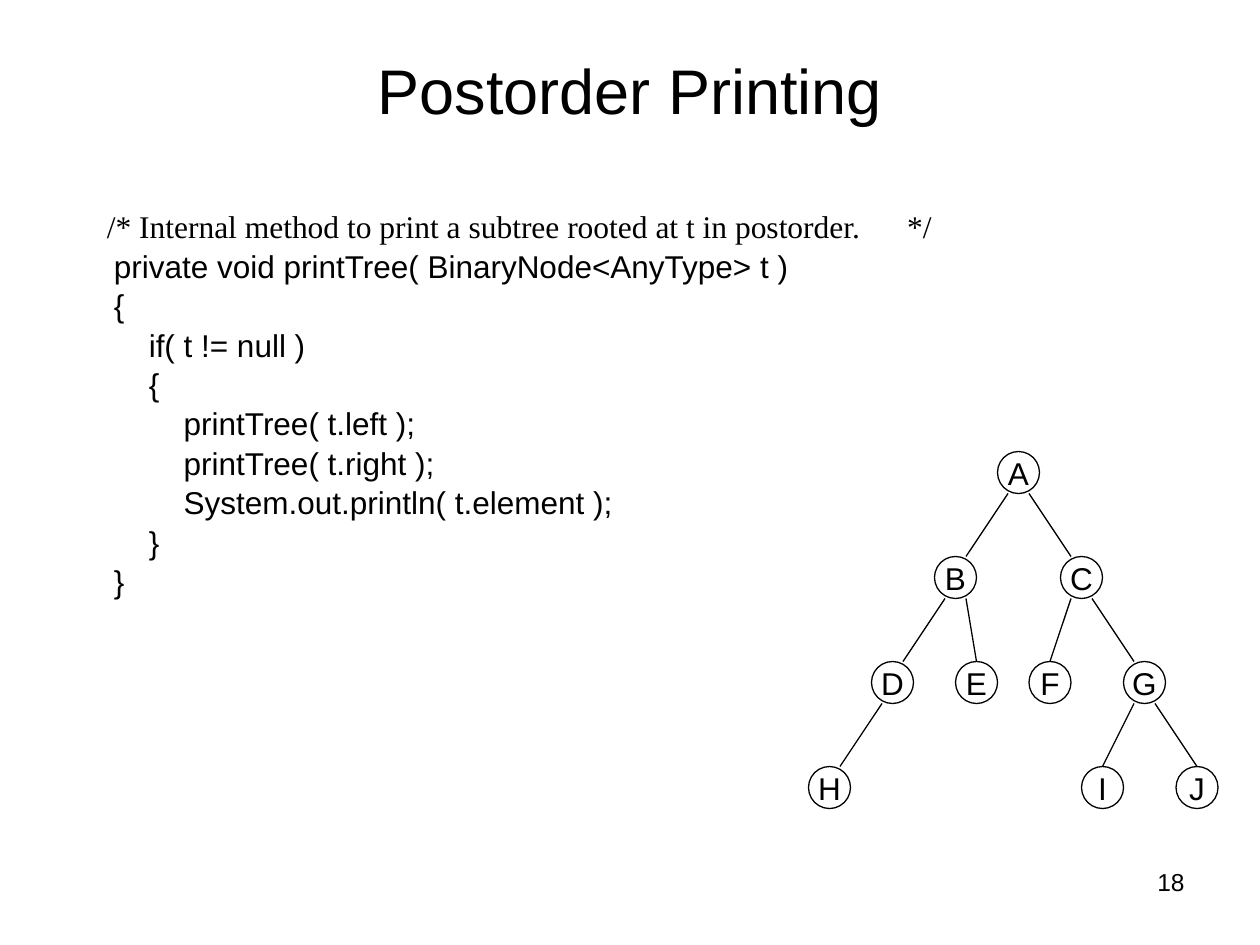
from pptx import Presentation
from pptx.dml.color import RGBColor
from pptx.enum.shapes import MSO_CONNECTOR, MSO_SHAPE
from pptx.enum.text import MSO_ANCHOR as Anchor, MSO_AUTO_SIZE as AutoSize, PP_ALIGN as Align
from pptx.util import Pt
from lxml import etree

COLORS = {"ink": "000000"}
INK = RGBColor.from_string(COLORS["ink"])
CODE = """\
        /* Internal method to print a subtree rooted at t in postorder.      */
        private void printTree( BinaryNode<AnyType> t )
        {
            if( t != null )
            {
                printTree( t.left );
                printTree( t.right );
                System.out.println( t.element );
            }
        }"""


def style(para, size, align=Align.LEFT, name="Arial"):
    para.alignment = align
    para.font.name = name
    para.font.size = Pt(size)
    para.font.color.rgb = INK


deck = Presentation()
deck.slide_width, deck.slide_height = Pt(720), Pt(540)
page = deck.slides.add_slide(deck.slide_layouts[5])

title = page.shapes.title
title.left, title.top, title.width, title.height = Pt(54), Pt(18), Pt(612), Pt(66)
title.text_frame.text = "Postorder Printing"
title.text_frame.vertical_anchor = Anchor.MIDDLE
title.text_frame.auto_size = AutoSize.NONE
style(title.text_frame.paragraphs[0], 36, Align.CENTER)

number = page.shapes.add_textbox(Pt(516), Pt(492), Pt(168), Pt(37.5))
number.text_frame.word_wrap = True
number.text_frame.text = "18"
style(number.text_frame.paragraphs[0], 14, Align.RIGHT)

code = page.shapes.add_textbox(Pt(18), Pt(115), Pt(636), Pt(223))
code.text_frame.word_wrap = True
code.text_frame.text = CODE
for index, para in enumerate(code.text_frame.paragraphs):
    style(para, 18, name="Arial" if index else "Times New Roman")
    if index:
        para.space_before = Pt(0.9)

NODE = 24
LEVELS = [
    {"A": 570},
    {"B": 534, "C": 606},
    {"D": 498, "E": 546, "F": 588, "G": 642},
    {"H": 462, "I": 618, "J": 672},
]
tree = page.shapes.add_group_shape()
places = {}
for depth, level in enumerate(LEVELS):
    for label, left in level.items():
        top = 258 + 60 * depth
        places[label] = left, top
        node = tree.shapes.add_shape(MSO_SHAPE.OVAL, Pt(left), Pt(top), Pt(NODE), Pt(NODE))
        node.shadow.inherit = False
        node.fill.background()
        node.line.color.rgb = INK
        node.line.width = Pt(0.75)
        frame = node.text_frame
        frame.word_wrap = False
        frame.vertical_anchor = Anchor.MIDDLE
        frame.text = label
        style(frame.paragraphs[0], 18, Align.CENTER)

EDGES = [
    ("A", 6, "B", 18), ("B", 6, "D", 18), ("D", 6, "H", 18),
    ("A", 18, "C", 6), ("C", 18, "G", 6), ("G", 18, "J", 12),
    ("B", 18, "E", 12), ("C", 6, "F", 12), ("G", 6, "I", 12),
]
for parent, start, child, end in EDGES:
    left, top = places[parent]
    child_left, child_top = places[child]
    edge = tree.shapes.add_connector(
        MSO_CONNECTOR.STRAIGHT,
        Pt(left + start), Pt(top + NODE), Pt(child_left + end), Pt(child_top),
    )
    edge.line.color.rgb = INK
    edge.line.width = Pt(0.75)
    properties = edge._element.spPr
    etree.SubElement(properties, "{http://schemas.openxmlformats.org/drawingml/2006/main}effectLst")

deck.save("out.pptx")
